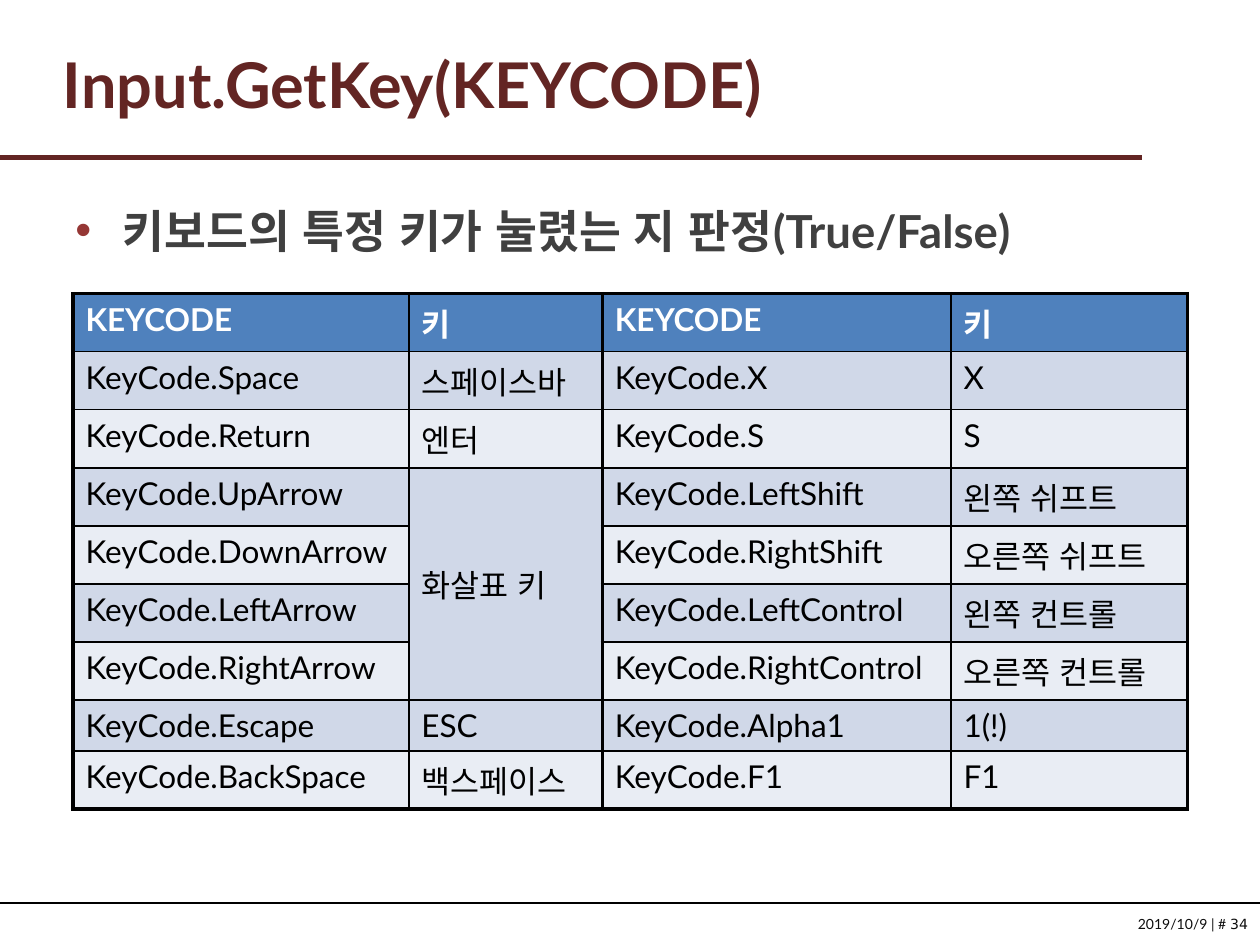
from dataclasses import dataclass
from lxml import etree
from pptx import Presentation
from pptx.dml.color import RGBColor
from pptx.enum.lang import MSO_LANGUAGE_ID
from pptx.enum.shapes import MSO_CONNECTOR
from pptx.enum.text import MSO_ANCHOR, PP_ALIGN
from pptx.oxml.ns import qn
from pptx.slide import Slide
from pptx.util import Cm, Pt

STRAIGHT = MSO_CONNECTOR.STRAIGHT
TOP, MIDDLE = MSO_ANCHOR.TOP, MSO_ANCHOR.MIDDLE
LEFT, RIGHT = PP_ALIGN.LEFT, PP_ALIGN.RIGHT
KOREAN = MSO_LANGUAGE_ID.KOREAN

KEY_ROWS = [
    ("KEYCODE", "키", "KEYCODE", "키"),
    ("KeyCode.Space", "스페이스바", "KeyCode.X", "X"),
    ("KeyCode.Return", "엔터", "KeyCode.S", "S"),
    ("KeyCode.UpArrow", "화살표 키", "KeyCode.LeftShift", "왼쪽 쉬프트"),
    ("KeyCode.DownArrow", "", "KeyCode.RightShift", "오른쪽 쉬프트"),
    ("KeyCode.LeftArrow", "", "KeyCode.LeftControl", "왼쪽 컨트롤"),
    ("KeyCode.RightArrow", "", "KeyCode.RightControl", "오른쪽 컨트롤"),
    ("KeyCode.Escape", "ESC", "KeyCode.Alpha1", "1(!)"),
    ("KeyCode.BackSpace", "백스페이스", "KeyCode.F1", "F1"),
]
COLUMN_WIDTHS = (6.77, 3.9, 7.03, 4.77)
ROW_HEIGHT = 1.17
ESCAPE_HEIGHT = 1.03
ROW_HEIGHTS = [ESCAPE_HEIGHT if row[1] == "ESC" else ROW_HEIGHT for row in KEY_ROWS]
ARROW_ROWS = (3, 6)


def color(value):
    return RGBColor.from_string(value)


@dataclass
class SlideBuilder:
    """Draws styled elements on the current slide."""

    slide: Slide
    font: str = "Lato"
    number_font: str = "DejaVu Sans"
    dark: str = "632523"
    gray: str = "404040"
    bullet: str = "953735"
    ink: str = "000000"
    white: str = "FFFFFF"
    header: str = "4F81BD"
    bands: tuple = ("E9EDF4", "D0D8E8")

    def format(self, font, size, hex_value, bold=False):
        font.name = self.font
        font.size = Pt(size)
        font.bold = bold
        font.color.rgb = color(hex_value)
        font.language_id = KOREAN

    def line(self, y, length, hex_value, width):
        connector = self.slide.shapes.add_connector(STRAIGHT, Cm(0), Cm(y), Cm(length), Cm(y))
        connector.line.color.rgb = color(hex_value)
        connector.line.width = Pt(width)
        etree.SubElement(connector.element.spPr, qn("a:effectLst"))

    def text(self, box, text, size, hex_value, bold=False, anchor=TOP, align=LEFT, wrap=True):
        shape = self.slide.shapes.add_textbox(*map(Cm, box))
        frame = shape.text_frame
        frame.text = text
        frame.word_wrap = wrap
        frame.vertical_anchor = anchor
        paragraph = frame.paragraphs[0]
        paragraph.alignment = align
        self.format(paragraph.runs[0].font, size, hex_value, bold)
        return frame

    def title(self, text):
        frame = self.text((0.76, 0.58, 22.86, 2.21), text, 36, self.dark, True, MIDDLE)
        frame.margin_left = Cm(0.51)

    def bullet_point(self, text):
        frame = self.text((1.27, 3.96, 22.86, 13.49), text, 26, self.gray, True)
        properties = frame.paragraphs[0]._p.get_or_add_pPr()
        properties.set("marL", str(Cm(0.95)))
        properties.set("indent", str(Cm(-0.95)))
        bullet_color = etree.SubElement(properties, qn("a:buClr"))
        etree.SubElement(bullet_color, qn("a:srgbClr"), val=self.bullet)
        etree.SubElement(properties, qn("a:buFont"), typeface="Arial")
        etree.SubElement(properties, qn("a:buChar"), char="•")

    def footer(self, date, number):
        frame = self.text((22.67, 18.34, 2.74, 0.61), f"{date} | # ", 8, "0D0D0D",
                          align=RIGHT, wrap=False)
        run = frame.paragraphs[0].add_run()
        run.text = number
        self.format(run.font, 8, "0D0D0D")
        run.font.name = self.number_font

    def borders(self, cell, widths):
        properties = cell._tc.get_or_add_tcPr()
        for side, width in widths.items():
            border = etree.SubElement(properties, qn(f"a:ln{side}"), w=str(Pt(width)))
            fill = etree.SubElement(border, qn("a:solidFill"))
            etree.SubElement(fill, qn("a:srgbClr"), val=self.ink)

    def key_table(self, left, top, rows, thin=1, thick=2.25):
        last = len(rows) - 1
        table = self.slide.shapes.add_table(
            len(rows), len(COLUMN_WIDTHS), Cm(left), Cm(top),
            Cm(sum(COLUMN_WIDTHS)), Cm(sum(ROW_HEIGHTS))).table
        for column, width in zip(table.columns, COLUMN_WIDTHS):
            column.width = Cm(width)
        first_arrow, last_arrow = ARROW_ROWS
        table.cell(first_arrow, 1).merge(table.cell(last_arrow, 1))
        for i, row in enumerate(rows):
            table.rows[i].height = Cm(ROW_HEIGHTS[i])
            for j, text in enumerate(row):
                cell = table.cell(i, j)
                self.borders(cell, {
                    "L": thin if j % 2 else thick,
                    "R": thick if j % 2 else thin,
                    "T": thin if i else thick,
                    "B": thick if i == last else thin,
                })
                cell.fill.solid()
                cell.fill.fore_color.rgb = color(self.bands[i % 2] if i else self.header)
                cell.vertical_anchor = MIDDLE if i and j == 1 else TOP
                cell.text = text
                paragraph = cell.text_frame.paragraphs[0]
                for run in paragraph.runs:
                    self.format(run.font, 18, self.ink if i else self.white, not i)


def main():
    presentation = Presentation()
    presentation.slide_width = Cm(25.4)
    presentation.slide_height = Cm(19.05)
    builder = SlideBuilder(presentation.slides.add_slide(presentation.slide_layouts[6]))
    builder.footer("2019/10/9", "34")
    builder.line(3.17, 23.02, builder.dark, 3)
    builder.line(18.21, 25.4, builder.ink, 1)
    builder.title("Input.GetKey(KEYCODE)")
    builder.bullet_point("키보드의 특정 키가 눌렸는 지 판정(True/False)")
    builder.key_table(1.47, 5.92, KEY_ROWS)
    presentation.save("out.pptx")


if __name__ == "__main__":
    main()
